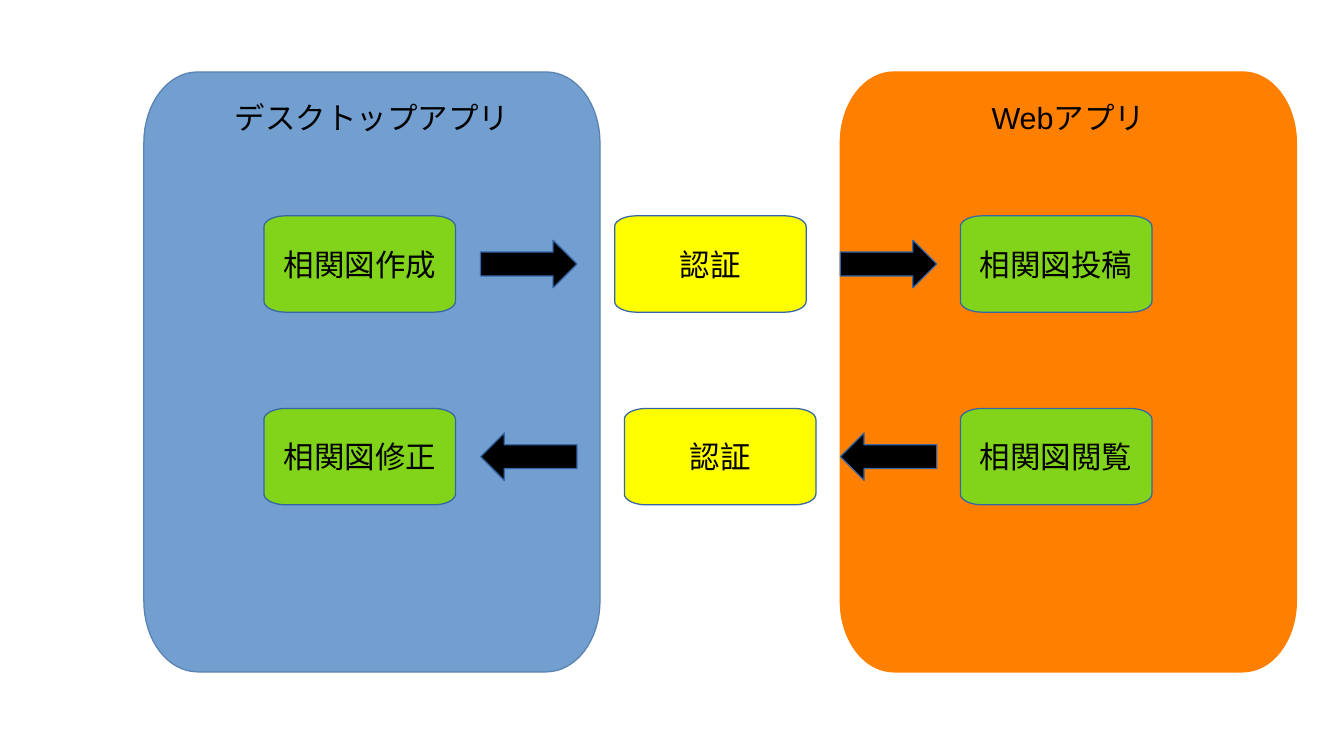
import math

from pptx import Presentation
from pptx.dml.color import RGBColor
from pptx.enum.shapes import MSO_SHAPE
from pptx.enum.text import MSO_ANCHOR, PP_ALIGN
from pptx.util import Inches, Pt

RIGHT_ARROW = MSO_SHAPE.RIGHT_ARROW
LEFT_ARROW = MSO_SHAPE.LEFT_ARROW
TOP = MSO_ANCHOR.TOP
MIDDLE = MSO_ANCHOR.MIDDLE
CENTER = PP_ALIGN.CENTER

COLORS = {
    "desktop": "729FCF",
    "desktop_line": "5983B0",
    "web": "FF8000",
    "step": "81D41A",
    "auth": "FFFF00",
    "line": "3465A4",
    "black": "000000",
}
FONT = "Arial"
CORNER_STEPS = 16
PANEL_TOP, PANEL_WIDTH, PANEL_HEIGHT = 0.59, 3.74, 4.92
PANEL_CORNER = (0.44, 0.58)
DESKTOP_LEFT, WEB_LEFT = 1.18, 6.89
BOX_WIDTH, BOX_HEIGHT = 1.57, 0.79
BOX_CORNER = (0.18, 0.09)
STEP_OFFSET = 0.985
ARROW_WIDTH, ARROW_HEIGHT = 0.79, 0.39
DESKTOP_ARROW_LEFT = 3.94


def color(name):
    return RGBColor.from_string(COLORS[name])


def paint(shape, fill, line):
    shape.shadow.inherit = False
    shape.fill.solid()
    shape.fill.fore_color.rgb = color(fill)
    shape.line.color.rgb = color(line)
    shape.line.width = Pt(0)


def rounded_points(left, top, width, height, corner):
    radius_x, radius_y = corner
    right, bottom = left + width - radius_x, top + height - radius_y
    centers = [
        (left + radius_x, top + radius_y),
        (right, top + radius_y),
        (right, bottom),
        (left + radius_x, bottom),
    ]
    points = []
    for quarter, (center_x, center_y) in enumerate(centers):
        for step in range(CORNER_STEPS + 1):
            angle = math.pi * (1 + (quarter + step / CORNER_STEPS) / 2)
            points.append((
                Inches(center_x + radius_x * math.cos(angle)),
                Inches(center_y + radius_y * math.sin(angle)),
            ))
    return points


def add_rounded(slide, box, corner, text, fill, line, anchor, top_inset):
    points = rounded_points(*box, corner)
    builder = slide.shapes.build_freeform(*points[0])
    builder.add_line_segments(points[1:], close=True)
    shape = builder.convert_to_shape()
    paint(shape, fill, line)
    frame = shape.text_frame
    frame.word_wrap = True
    frame.vertical_anchor = anchor
    frame.margin_top = Inches(top_inset)
    paragraph = frame.paragraphs[0]
    paragraph.alignment = CENTER
    run = paragraph.add_run()
    run.text = text
    run.font.name = FONT
    run.font.size = Pt(18)
    run.font.color.rgb = color("black")


def add_panel(slide, left, title, fill, line):
    box = (left, PANEL_TOP, PANEL_WIDTH, PANEL_HEIGHT)
    add_rounded(slide, box, PANEL_CORNER, title, fill, line, TOP, 0.22)


def add_flow_row(slide, top, desktop_text, web_text, auth_left, arrow_kind):
    boxes = [
        (DESKTOP_LEFT + STEP_OFFSET, desktop_text, "step"),
        (auth_left, "認証", "auth"),
        (WEB_LEFT + STEP_OFFSET, web_text, "step"),
    ]
    for left, text, fill in boxes:
        box = (left, top, BOX_WIDTH, BOX_HEIGHT)
        add_rounded(slide, box, BOX_CORNER, text, fill, "line", MIDDLE, 0.05)
    arrow_top = top + (BOX_HEIGHT - ARROW_HEIGHT) / 2
    for left in (DESKTOP_ARROW_LEFT, WEB_LEFT):
        arrow = slide.shapes.add_shape(
            arrow_kind, Inches(left), Inches(arrow_top),
            Inches(ARROW_WIDTH), Inches(ARROW_HEIGHT))
        paint(arrow, "black", "line")


def main():
    presentation = Presentation()
    presentation.slide_width = Inches(11.02)
    presentation.slide_height = Inches(6.2)
    slide = presentation.slides.add_slide(presentation.slide_layouts[6])
    add_panel(slide, DESKTOP_LEFT, "デスクトップアプリ", "desktop", "desktop_line")
    add_panel(slide, WEB_LEFT, "Webアプリ", "web", "web")
    add_flow_row(slide, 1.77, "相関図作成", "相関図投稿", 5.04, RIGHT_ARROW)
    add_flow_row(slide, 3.35, "相関図修正", "相関図閲覧", 5.12, LEFT_ARROW)
    presentation.save("out.pptx")


if __name__ == "__main__":
    main()
